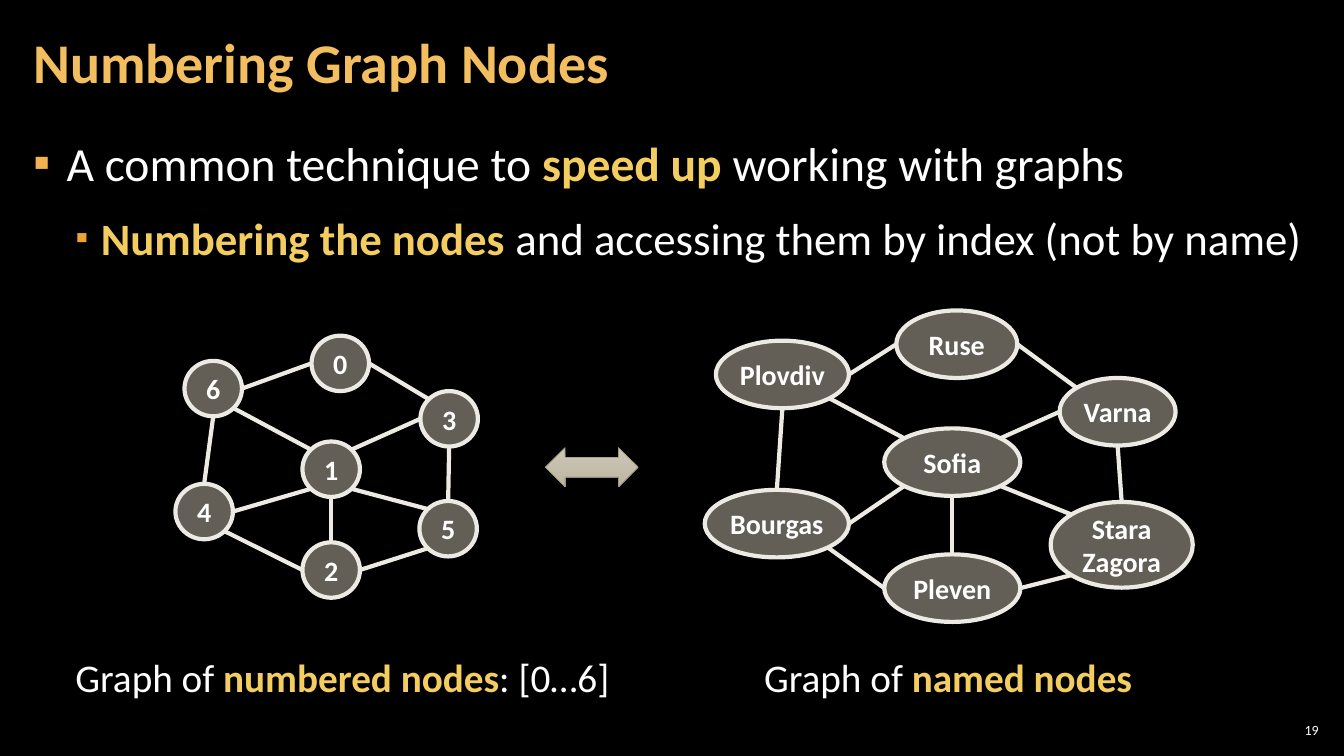
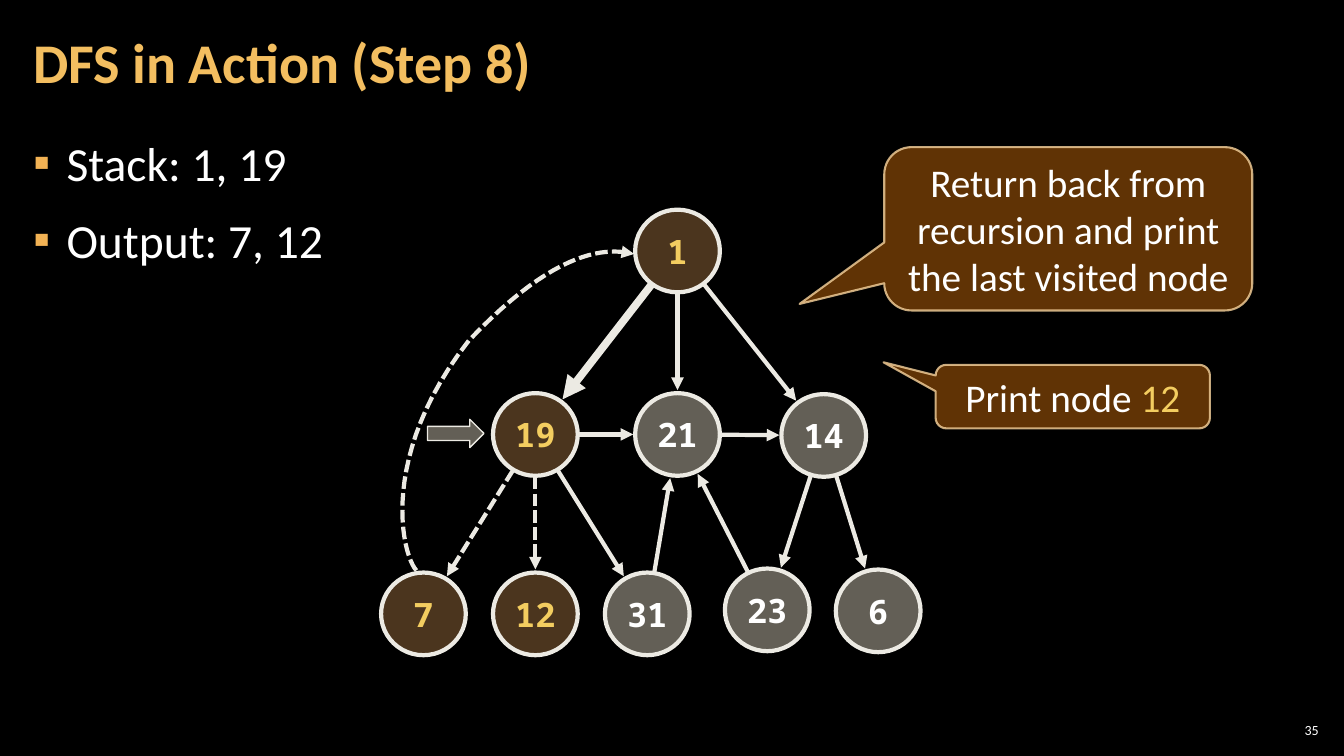
from math import hypot, sqrt

from lxml import etree
from pptx import Presentation
from pptx.dml.color import RGBColor
from pptx.enum.dml import MSO_LINE
from pptx.enum.shapes import MSO_CONNECTOR, MSO_SHAPE
from pptx.enum.text import MSO_ANCHOR, MSO_AUTO_SIZE, PP_ALIGN
from pptx.oxml.ns import qn
from pptx.util import Inches, Pt

ELLIPSE = MSO_SHAPE.OVAL
CALLOUT = MSO_SHAPE.ROUNDED_RECTANGULAR_CALLOUT
STRAIGHT = MSO_CONNECTOR.STRAIGHT
DASHED = MSO_LINE.SQUARE_DOT
LEFT, CENTER, RIGHT = PP_ALIGN.LEFT, PP_ALIGN.CENTER, PP_ALIGN.RIGHT
MIDDLE, TOP = MSO_ANCHOR.MIDDLE, MSO_ANCHOR.TOP

SANS, MONO = "Calibri", "Noto Sans Mono"
COLORS = {
    "background": "000000", "text": "FFFFFF", "title": "F3BE60",
    "accent": "F3CD60", "bullet": "F2B254", "sub_bullet": "F0A22E",
    "node": "C7BFAC", "visited": "6C4C2C", "edge": "ECEAE3",
    "callout": "663606", "callout_line": "F8D49E",
    "arrow_top": "CDC7B9", "arrow_bottom": "BDB59F", "arrow_line": "A19574",
}
SLIDE_INSETS = (0.12, 0.04, 0.12, 0.04)
NODE_INSETS = (0.04, 0.05, 0.04, 0.05)
DEFAULT_INSETS = (0.1, 0.05, 0.1, 0.05)

# Bullet levels: text size, left margin, hanging indent, colour, bullet percent
LEVELS = [(34, 0.33, 0.33, "bullet", 100), (32, 0.67, 0.25, "sub_bullet", 80)]

# Sites on an ellipse, as directions from its centre
DIAGONAL = 1 / sqrt(2)
SITES = {
    "N": (0, -1), "S": (0, 1), "W": (-1, 0), "E": (1, 0),
    "NW": (-DIAGONAL, -DIAGONAL), "NE": (DIAGONAL, -DIAGONAL),
    "SW": (-DIAGONAL, DIAGONAL), "SE": (DIAGONAL, DIAGONAL),
}
# Both graphs share these edges between nodes 0 to 6
GRAPH_EDGES = [
    (0, "W", 6, "E"), (0, "E", 3, "NW"), (3, "S", 5, "N"), (6, "SE", 1, "NW"),
    (6, "S", 4, "N"), (4, "SE", 2, "W"), (3, "W", 1, "NE"), (1, "S", 2, "N"),
    (5, "SW", 2, "E"), (4, "E", 1, "SW"), (1, "SE", 5, "NW"),
]
# Nodes 0 to 6: label, left, top, width, height inside the graph's box
NUMBERED_NODES = [
    (str(number), x, y, 0.57, 0.55) for number, (x, y) in enumerate([
        (1.35, 0), (1.26, 1.05), (1.26, 2.05), (2.43, 0.55),
        (0, 1.47), (2.42, 1.64), (0.09, 0.25)])
]
CITY_NODES = [
    ("Ruse", 1.9, 0, 1.2, 0.67), ("Sofia", 1.78, 1.17, 1.35, 0.67),
    ("Pleven", 1.78, 2.42, 1.35, 0.67), ("Varna", 3.52, 0.67, 1.15, 0.67),
    ("Bourgas", 0, 1.78, 1.43, 0.67), ("Stara Zagora", 3.43, 1.9, 1.41, 0.85),
    ("Plovdiv", 0.11, 0.3, 1.32, 0.67),
]

# Tree node centres inside the tree's box
TREE_NODES = {
    1: (2.94, 0.41), 19: (1.53, 2.23), 21: (2.94, 2.23), 14: (4.39, 2.24),
    7: (0.42, 4.01), 12: (1.53, 4.01), 31: (2.64, 4.01), 23: (3.83, 3.97),
    6: (4.93, 3.98),
}
VISITED = {1, 19, 7, 12}
TREE_EDGES = [
    (1, 21), (1, 14), (19, 31), (19, 21), (21, 14),
    (14, 23), (14, 6), (31, 21), (23, 21),
]
DASHED_EDGES = [(19, 7), (19, 12)]
RETURN_CURVE = [
    [(0.35, 3.58), (0.2, 3.41), (-0.02, 2.43), (0.87, 1.3)],
    [(0.87, 1.3), (1.76, 0.36), (2.26, 0.38), (2.51, 0.44)],
]
CURVE_STEPS = 24


def rgb(name):
    return RGBColor.from_string(COLORS[name])


def write(paragraph, markup, size, color="text", bold=False, font=SANS,
          align=LEFT, accent_bold=True):
    """Writes one paragraph; the parts between asterisks are accented."""
    paragraph.alignment = align
    for index, part in enumerate(markup.split("*")):
        if not part:
            continue
        accented = index % 2 == 1
        run = paragraph.add_run()
        run.text = part
        run.font.size, run.font.name = Pt(size), font
        run.font.bold = accent_bold if accented else bold
        run.font.color.rgb = rgb("accent" if accented else color)


def set_frame(frame, anchor=MIDDLE, insets=DEFAULT_INSETS, wrap=True):
    frame.auto_size = MSO_AUTO_SIZE.NONE
    frame.vertical_anchor, frame.word_wrap = anchor, wrap
    (frame.margin_left, frame.margin_top,
     frame.margin_right, frame.margin_bottom) = map(Inches, insets)


def place(shape, *box):
    shape.left, shape.top, shape.width, shape.height = map(Inches, box)


def set_alpha(properties, percent):
    """Makes the solid colour of a fill or line element translucent."""
    color = properties.find(qn("a:solidFill")).find(qn("a:srgbClr"))
    etree.SubElement(color, qn("a:alpha"), val=str(percent * 1000))


def set_line(shape, color, width, dash=None, arrow=False):
    line = shape.line
    line.color.rgb, line.width = rgb(color), Pt(width)
    if dash is not None:
        line.dash_style = dash
    if arrow:
        etree.SubElement(line._get_or_add_ln(), qn("a:tailEnd"), type="triangle")


def add_shape(slide, kind, box, fill, opacity, line, width):
    shape = slide.shapes.add_shape(kind, *map(Inches, box))
    shape.shadow.inherit = False
    shape.fill.solid()
    shape.fill.fore_color.rgb = rgb(fill)
    set_alpha(shape._element.spPr, opacity)
    set_line(shape, line, width)
    return shape


def add_edge(slide, start, end, width=3, dash=None, arrow=False):
    edge = slide.shapes.add_connector(STRAIGHT, *map(Inches, (*start, *end)))
    set_line(edge, "edge", width, dash, arrow)
    etree.SubElement(edge._element.spPr, qn("a:effectLst"))


def add_text(slide, box, markup, size, align=LEFT, insets=DEFAULT_INSETS,
             anchor=TOP, wrap=False):
    frame = slide.shapes.add_textbox(*map(Inches, box)).text_frame
    set_frame(frame, anchor, insets, wrap)
    write(frame.paragraphs[0], markup, size, align=align)


def add_bullet(paragraph, level):
    size, margin, hanging, color, percent = LEVELS[level]
    paragraph.level = level
    properties = paragraph._p.get_or_add_pPr()
    properties.set("marL", str(Inches(margin)))
    properties.set("indent", str(-Inches(hanging)))
    bullet_color = etree.SubElement(properties, qn("a:buClr"))
    etree.SubElement(bullet_color, qn("a:srgbClr"), val=COLORS[color])
    etree.SubElement(properties, qn("a:buSzPct"), val=str(percent * 1000))
    etree.SubElement(properties, qn("a:buFont"), typeface=SANS)
    etree.SubElement(properties, qn("a:buChar"), char="▪")
    return size


def add_base_slide(prs, title, bullets, number):
    """Adds a slide with title, bullets as (level, markup) and page number."""
    slide = prs.slides.add_slide(prs.slide_layouts[1])
    heading, body = slide.shapes.title, slide.placeholders[1]
    place(heading, 0.21, 0.04, 10.47, 1.21)
    set_frame(heading.text_frame, MIDDLE, SLIDE_INSETS)
    heading_line = heading.text_frame.paragraphs[0]
    heading_line.line_spacing = 0.9
    write(heading_line, title, 40, "title", bold=True)

    place(body, 0.21, 1.26, 12.91, 6.09)
    set_frame(body.text_frame, TOP, SLIDE_INSETS)
    for index, (level, markup) in enumerate(bullets):
        frame = body.text_frame
        paragraph = frame.add_paragraph() if index else frame.paragraphs[0]
        size = add_bullet(paragraph, level)
        paragraph.line_spacing = 1.05
        paragraph.space_before = Pt(6 if index else 0)
        paragraph.space_after = Pt(6)
        write(paragraph, markup, size)

    add_text(slide, (12.65, 7.14, 0.47, 0.21), str(number), 10, RIGHT,
             (0.04,) * 4, MIDDLE, wrap=True)
    return slide


def add_graph(slide, left, top, nodes):
    def site(index, side):
        _, x, y, width, height = nodes[index]
        across, down = SITES[side]
        return (left + x + width / 2 * (1 + across),
                top + y + height / 2 * (1 + down))

    for begin, begin_side, end, end_side in GRAPH_EDGES:
        add_edge(slide, site(begin, begin_side), site(end, end_side))
    for label, x, y, width, height in nodes:
        node = add_shape(slide, ELLIPSE, (left + x, top + y, width, height),
                         "node", 50, "edge", 3)
        set_frame(node.text_frame, insets=NODE_INSETS)
        write(node.text_frame.paragraphs[0], label, 20, bold=True, align=CENTER)


def add_double_arrow(slide, *box):
    arrow = slide.shapes.add_shape(MSO_SHAPE.LEFT_RIGHT_ARROW, *map(Inches, box))
    arrow.shadow.inherit = False
    arrow.fill.gradient()
    arrow.fill.gradient_angle = 270
    for stop, name in zip(arrow.fill.gradient_stops, ("arrow_top", "arrow_bottom")):
        stop.color.rgb = rgb(name)
    set_line(arrow, "arrow_line", 0.5)


def bezier(controls, t):
    weights = ((1 - t) ** 3, 3 * t * (1 - t) ** 2, 3 * t * t * (1 - t), t ** 3)
    return tuple(sum(w * point[axis] for w, point in zip(weights, controls))
                 for axis in (0, 1))


def add_return_curve(slide, left, top):
    points = [bezier(controls, step / CURVE_STEPS)
              for controls in RETURN_CURVE for step in range(1, CURVE_STEPS + 1)]
    points = [(Inches(left + x), Inches(top + y))
              for x, y in [RETURN_CURVE[0][0], *points]]
    builder = slide.shapes.build_freeform(*points[0])
    builder.add_line_segments(points[1:], close=False)
    curve = builder.convert_to_shape()
    curve.shadow.inherit = False
    curve.fill.background()
    set_line(curve, "edge", 3, DASHED, arrow=True)


def add_tree(slide, left, top):
    width, height = 0.84, 0.82
    centers = {key: (left + x, top + y) for key, (x, y) in TREE_NODES.items()}

    def connect(begin, end, **style):
        """Draws an arrow between two node rims, along their centre line."""
        (x1, y1), (x2, y2) = centers[begin], centers[end]
        length = hypot(x2 - x1, y2 - y1)
        dx, dy = (x2 - x1) / length, (y2 - y1) / length
        rim, gap = width / 2, 0.02
        add_edge(slide, (x1 + dx * rim, y1 + dy * rim),
                 (x2 - dx * (rim + gap), y2 - dy * (rim + gap)),
                 arrow=True, **style)

    connect(1, 19, width=5.5)
    for begin, end in TREE_EDGES:
        connect(begin, end)
    for begin, end in DASHED_EDGES:
        connect(begin, end, dash=DASHED)
    add_return_curve(slide, left, top)
    for key, (x, y) in centers.items():
        fill, opacity, color = (("visited", 70, "accent") if key in VISITED
                                else ("node", 50, "text"))
        node = add_shape(slide, ELLIPSE,
                         (x - width / 2, y - height / 2, width, height),
                         fill, opacity, "edge", 3)
        set_frame(node.text_frame, wrap=False)
        write(node.text_frame.paragraphs[0], str(key), 24, color, True, MONO, CENTER)


def add_callout(slide, box, pointer, markup):
    callout = add_shape(slide, CALLOUT, box, "callout", 95, "callout_line", 1.5)
    set_alpha(callout.line._get_or_add_ln(), 80)
    callout.adjustments[0], callout.adjustments[1] = pointer
    set_frame(callout.text_frame)
    write(callout.text_frame.paragraphs[0], markup, 28, align=CENTER,
          accent_bold=False)


def add_numbering_slide(prs):
    slide = add_base_slide(prs, "Numbering Graph Nodes", [
        (0, "A common technique to *speed up *working with graphs"),
        (1, "*Numbering the nodes *and accessing them by index (not by name)"),
    ], 19)
    add_graph(slide, 1.74, 3.33, NUMBERED_NODES)
    add_graph(slide, 6.99, 3.08, CITY_NODES)
    add_double_arrow(slide, 5.41, 4.44, 0.92, 0.39)
    add_text(slide, (0.65, 6.43, 5.51, 0.57),
             "Graph of *numbered nodes*: [0…6]", 28)
    add_text(slide, (7.48, 6.43, 3.89, 0.57), "Graph of *named nodes*", 28)


def add_dfs_slide(prs):
    slide = add_base_slide(prs, "DFS in Action (Step 8)", [
        (0, "Stack: 1, 19"), (0, "Output: 7, 12")], 35)
    add_shape(slide, MSO_SHAPE.RIGHT_ARROW, (4.24, 4.16, 0.56, 0.28),
              "node", 50, "edge", 1)
    add_tree(slide, 3.78, 2.08)
    add_callout(slide, (8.77, 1.46, 3.65, 1.62), (-0.73, 0.46),
                "Return back from recursion and print the last visited node")
    add_callout(slide, (9.28, 3.62, 2.72, 0.63), (-0.69, -0.54),
                "Print node *12*")


def main():
    prs = Presentation()
    prs.slide_width, prs.slide_height = Inches(13.33), Inches(7.5)
    background = prs.slide_master.background.fill
    background.solid()
    background.fore_color.rgb = rgb("background")
    add_numbering_slide(prs)
    add_dfs_slide(prs)
    prs.save("out.pptx")


if __name__ == "__main__":
    main()
